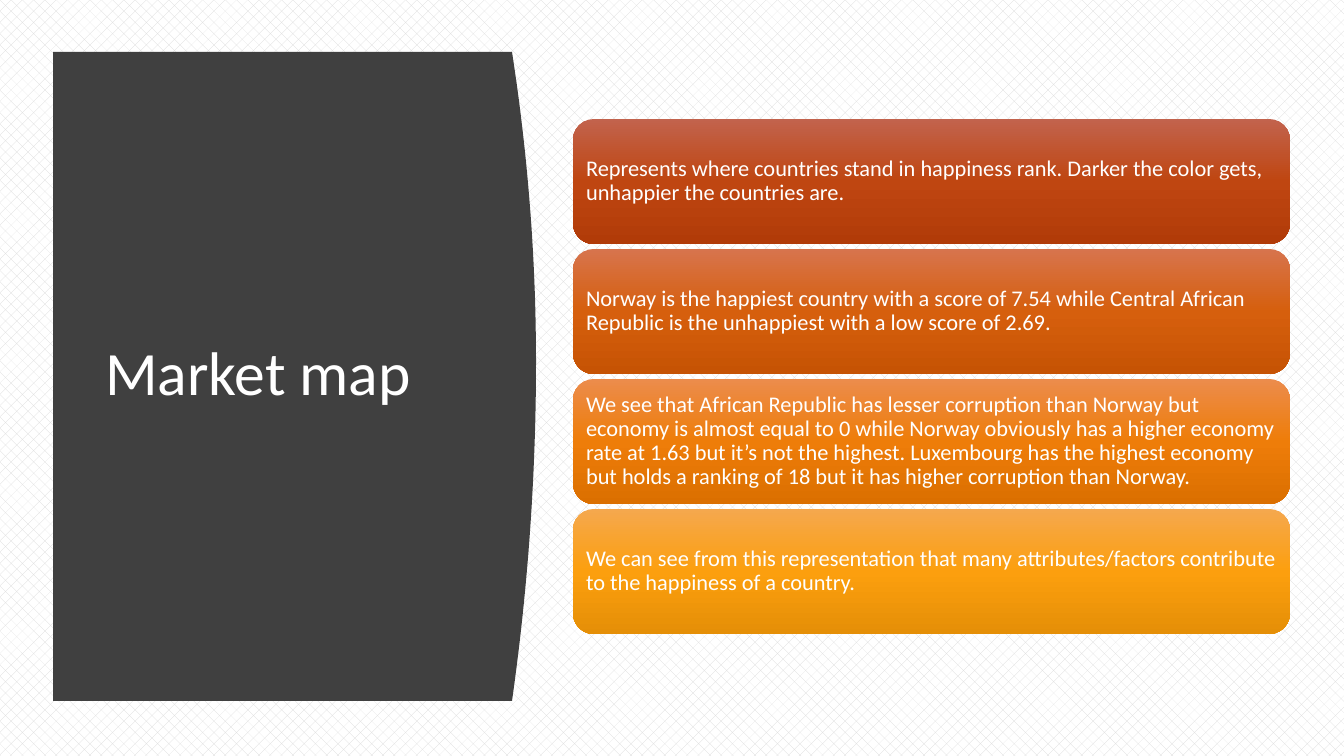
"""Build the "Market map" slide: a curved title panel beside four gradient cards."""
from copy import deepcopy

from pptx import Presentation
from pptx.dml.color import RGBColor
from pptx.enum.dml import MSO_PATTERN
from pptx.enum.shapes import MSO_SHAPE
from pptx.enum.text import MSO_ANCHOR, MSO_AUTO_SIZE, PP_ALIGN
from pptx.oxml.ns import qn
from pptx.util import Pt

EMU_PER_PX = 914400 / 100.8
ROUNDED = MSO_SHAPE.ROUNDED_RECTANGLE
MIDDLE = MSO_ANCHOR.MIDDLE
LEFT = PP_ALIGN.LEFT
NO_AUTOFIT = MSO_AUTO_SIZE.NONE
DOTTED = MSO_PATTERN.PERCENT_25
FONT = "Calibri"
WHITE = "FFFFFF"

PANEL_LEFT, PANEL_TOP, PANEL_BOTTOM = 53, 52, 701
PANEL_PEAK_X, PANEL_PEAK_Y, PANEL_BULGE = 536, 362, 24
CURVE_STEPS = 40
CARD_LEFT, CARD_TOP, CARD_WIDTH, CARD_HEIGHT, CARD_PITCH = 573, 119, 717, 125, 130

CARDS = [
    ("Represents where countries stand in happiness rank. Darker the color gets, "
     "unhappier the countries are.", ("C2634D", "BF4611", "B13B08")),
    ("Norway is the happiest country with a score of 7.54 while Central African "
     "Republic is the unhappiest with a low score of 2.69.", ("D7744D", "D65F0D", "C65304")),
    ("We see that African Republic has lesser corruption than Norway but economy is "
     "almost equal to 0 while Norway obviously has a higher economy rate at 1.63 but "
     "it’s not the highest. Luxembourg has the highest economy but holds a ranking of "
     "18 but it has higher corruption than Norway.", ("EC8C4C", "EE7D09", "DB6F00")),
    ("We can see from this representation that many attributes/factors contribute to "
     "the happiness of a country.", ("F5A84E", "FC9F0E", "E58F07")),
]


def px(value):
    """Turn pixels into EMU."""
    return round(value * EMU_PER_PX)


def color(hex_string):
    """Turn a hex string into a colour."""
    return RGBColor.from_string(hex_string)


def set_background(slide):
    """Give the slide a light dotted pattern."""
    fill = slide.background.fill
    fill.patterned()
    fill.pattern = DOTTED
    fill.fore_color.rgb = color("D9D9D9")
    fill.back_color.rgb = color(WHITE)


def write_text(shape, text, size, inset_x, inset_y):
    """Write one left-aligned, vertically centred white paragraph."""
    frame = shape.text_frame
    frame.word_wrap = True
    frame.auto_size = NO_AUTOFIT
    frame.vertical_anchor = MIDDLE
    frame.margin_left = frame.margin_right = px(inset_x)
    frame.margin_top = frame.margin_bottom = px(inset_y)
    paragraph = frame.paragraphs[0]
    paragraph.text = text
    paragraph.alignment = LEFT
    paragraph.line_spacing = 0.9
    paragraph.font.name = FONT
    paragraph.font.size = Pt(size)
    paragraph.font.color.rgb = color(WHITE)


def fill_gradient(shape, stops):
    """Fill a shape from top to bottom with three evenly spaced colours."""
    fill = shape.fill
    fill.gradient()
    fill.gradient_angle = 270
    stop_list = shape._element.spPr.find(".//" + qn("a:gsLst"))
    stop_list.insert(1, deepcopy(stop_list[0]))
    for index, (stop, hex_string) in enumerate(zip(fill.gradient_stops, stops)):
        stop.position = index / 2
        stop.color.rgb = color(hex_string)


def curve_x(y):
    """Find the panel's right edge at a given height."""
    end = PANEL_TOP if y < PANEL_PEAK_Y else PANEL_BOTTOM
    return PANEL_PEAK_X - PANEL_BULGE * ((y - PANEL_PEAK_Y) / (end - PANEL_PEAK_Y)) ** 2


def add_panel(slide):
    """Draw the dark panel with its bulging right side."""
    step = (PANEL_BOTTOM - PANEL_TOP) / CURVE_STEPS
    heights = [PANEL_TOP + index * step for index in range(CURVE_STEPS + 1)]
    points = [(px(curve_x(y)), px(y)) for y in heights]
    builder = slide.shapes.build_freeform(px(PANEL_LEFT), px(PANEL_TOP))
    builder.add_line_segments(points + [(px(PANEL_LEFT), px(PANEL_BOTTOM))], close=True)
    panel = builder.convert_to_shape()
    panel.shadow.inherit = False
    panel.fill.solid()
    panel.fill.fore_color.rgb = color("404040")
    panel.line.fill.background()


def place_title(slide, text):
    """Set the title in front of the panel."""
    title = slide.shapes.title
    title.left, title.top, title.width, title.height = px(95), px(112), px(377), px(528)
    write_text(title, text, 44, 10, 5)
    slide.shapes._spTree.append(title._element)


def add_card(slide, top, text, stops):
    """Add a rounded gradient card with its text."""
    card = slide.shapes.add_shape(
        ROUNDED, px(CARD_LEFT), px(top), px(CARD_WIDTH), px(CARD_HEIGHT))
    card.shadow.inherit = False
    card.line.fill.background()
    fill_gradient(card, stops)
    write_text(card, text, 16, 7, 7)


def main():
    """Build and save the slide."""
    presentation = Presentation()
    presentation.slide_width, presentation.slide_height = px(1344), px(756)
    slide = presentation.slides.add_slide(presentation.slide_layouts[5])
    set_background(slide)
    add_panel(slide)
    place_title(slide, "Market map")
    for index, (text, stops) in enumerate(CARDS):
        add_card(slide, CARD_TOP + index * CARD_PITCH, text, stops)
    presentation.save("out.pptx")


if __name__ == "__main__":
    main()
